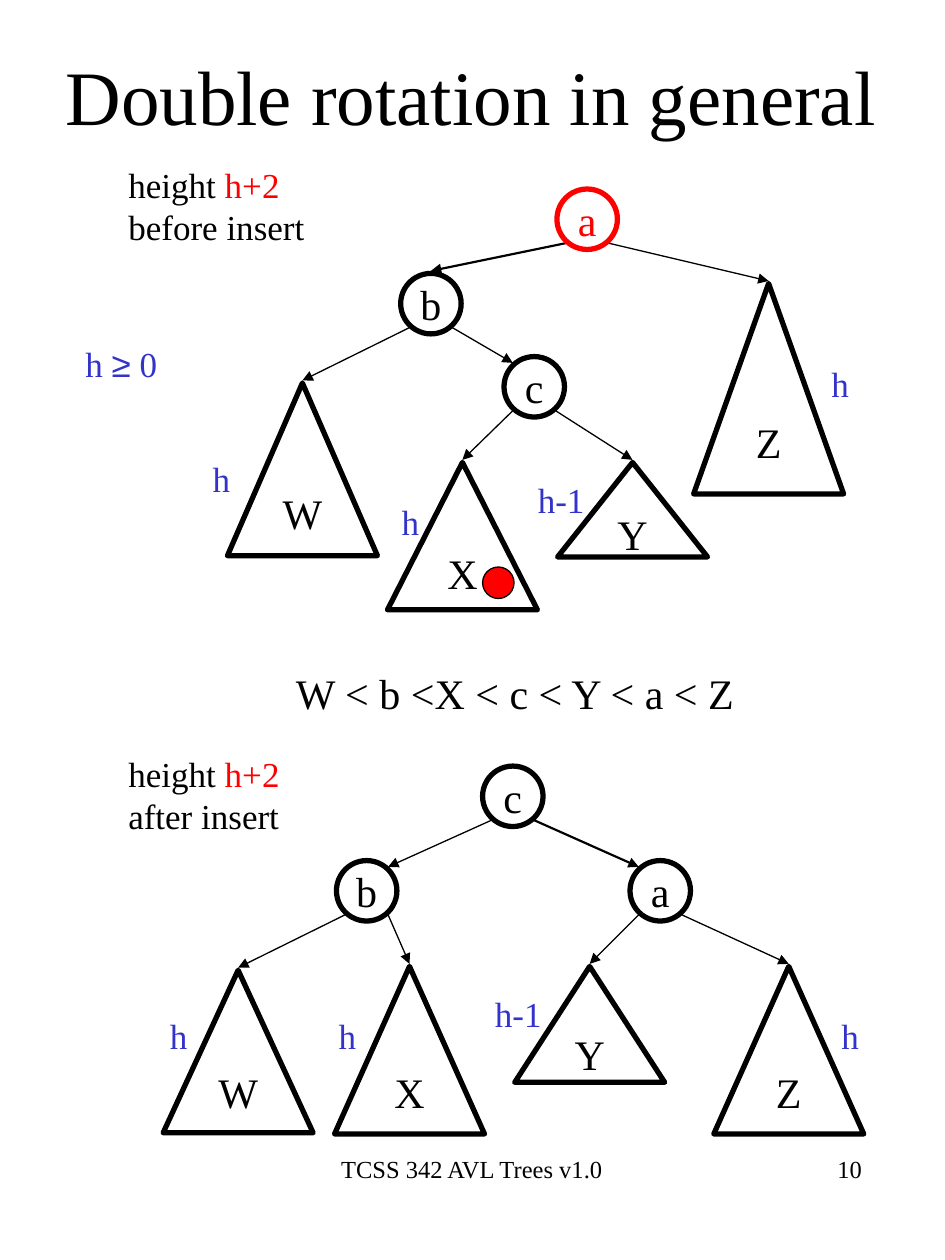
"""Build the slide on double rotation of AVL trees."""
from dataclasses import dataclass

from lxml import etree
from pptx import Presentation
from pptx.dml.color import RGBColor
from pptx.enum.shapes import MSO_CONNECTOR, MSO_SHAPE
from pptx.enum.text import MSO_ANCHOR, MSO_AUTO_SIZE, PP_ALIGN
from pptx.oxml.ns import qn
from pptx.util import Inches, Pt

OVAL, TRIANGLE = MSO_SHAPE.OVAL, MSO_SHAPE.ISOSCELES_TRIANGLE
STRAIGHT = MSO_CONNECTOR.STRAIGHT
LEFT, CENTER, RIGHT = PP_ALIGN.LEFT, PP_ALIGN.CENTER, PP_ALIGN.RIGHT
TOP, MIDDLE = MSO_ANCHOR.TOP, MSO_ANCHOR.MIDDLE
NO_FIT = MSO_AUTO_SIZE.NONE

COLORS = {"black": "000000", "red": "FF0000", "blue": "3333CC", "white": "FFFFFF"}
FONT = "Times New Roman"
CIRCLE, BASE = 0.48, 1.19
CORNER_X, CORNER_Y, GAP = 0.17, 0.19, 0.02


@dataclass
class Run:
    text: str
    color: str = "black"
    font: str = FONT


@dataclass
class Label:
    left: float
    top: float
    width: float
    height: float
    lines: list[list[Run]]
    size: int = 20
    align: PP_ALIGN = LEFT
    wrap: bool = True


@dataclass
class Node:
    name: str
    x: float
    top: float
    height: float = CIRCLE
    color: str = "black"
    fill: str = ""

    @property
    def is_circle(self) -> bool:
        return self.name.islower()


@dataclass
class Edge:
    parent: str
    child: str
    weight: float = 0.74
    to_top: bool = False


@dataclass
class Tree:
    nodes: list[Node]
    edges: list[Edge]


def rgb(color: str) -> RGBColor:
    return RGBColor.from_string(COLORS[color])


def write(tf, lines: list[list[Run]], size: int, align=LEFT, anchor=TOP, wrap=True) -> None:
    frame = {"word_wrap": wrap, "vertical_anchor": anchor, "auto_size": NO_FIT,
             "margin_left": Inches(0.1), "margin_right": Inches(0.1),
             "margin_top": Inches(0.05), "margin_bottom": Inches(0.05)}
    for key, value in frame.items():
        setattr(tf, key, value)
    for i, line in enumerate(lines):
        p = tf.add_paragraph() if i else tf.paragraphs[0]
        p.alignment = align
        for run in line:
            r = p.add_run()
            r.text = run.text
            for key, value in {"name": run.font, "size": Pt(size)}.items():
                setattr(r.font, key, value)
            r.font.color.rgb = rgb(run.color)


def add_outline(s, kind, left, top, width, height, line="black", weight=3.0, fill=""):
    sp = s.shapes.add_shape(kind, *map(Inches, (left, top, width, height)))
    sp.shadow.inherit = False
    if fill:
        sp.fill.solid()
        sp.fill.fore_color.rgb = rgb(fill)
    else:
        sp.fill.background()
    sp.line.color.rgb = rgb(line)
    sp.line.width = Pt(weight)
    return sp


def add_node(s, node: Node) -> None:
    kind, width = (OVAL, CIRCLE) if node.is_circle else (TRIANGLE, BASE)
    sp = add_outline(s, kind, node.x - width / 2, node.top, width, node.height,
                     node.color, fill=node.fill)
    write(sp.text_frame, [[Run(node.name, node.color)]], 24, CENTER, MIDDLE, False)


def add_edge(s, parent: Node, child: Node, edge: Edge) -> None:
    side = 1 if child.x > parent.x else -1
    x1 = parent.x + side * CORNER_X
    y1 = parent.top + CIRCLE / 2 + CORNER_Y
    x2, y2 = child.x, child.top - GAP
    if child.is_circle and not edge.to_top:
        x2, y2 = child.x - side * CORNER_X, child.top + CIRCLE / 2 - CORNER_Y
    line = s.shapes.add_connector(STRAIGHT, *map(Inches, (x1, y1, x2, y2)))
    line.line.color.rgb = rgb("black")
    line.line.width = Pt(edge.weight)
    etree.SubElement(line.line._get_or_add_ln(), qn("a:tailEnd"), type="triangle")
    etree.SubElement(line._element.spPr, qn("a:effectLst"))


def add_tree(s, tree: Tree) -> None:
    by_name = {node.name: node for node in tree.nodes}
    for edge in tree.edges:
        add_edge(s, by_name[edge.parent], by_name[edge.child], edge)
    for node in tree.nodes:
        add_node(s, node)


def add_label(s, label: Label) -> None:
    sp = s.shapes.add_textbox(*map(Inches, (label.left, label.top, label.width, label.height)))
    write(sp.text_frame, label.lines, label.size, label.align, wrap=label.wrap)


def height_mark(text: str, left: float, top: float) -> Label:
    width = 0.34 if text == "h" else 0.57
    return Label(left, top, width, 0.44, [[Run(text, "blue")]], wrap=False)


def tree_caption(top: float, moment: str) -> Label:
    lines = [[Run("height "), Run("h+2", "red")], [Run(f"{moment} insert")]]
    return Label(0.92, top, 1.67, 0.77, lines)


BEFORE = Tree(
    [Node("a", 4.66, 1.5, color="red"), Node("b", 3.42, 2.17), Node("c", 4.24, 2.83),
     Node("Z", 6.1, 2.25, 1.67), Node("W", 2.4, 3.04, 1.37),
     Node("X", 3.67, 3.67, 1.17, fill="white"), Node("Y", 5.02, 3.67, 0.75, fill="white")],
    [Edge("a", "b", 1.25, True), Edge("a", "Z"), Edge("b", "W"), Edge("b", "c"),
     Edge("c", "X"), Edge("c", "Y")])
AFTER = Tree(
    [Node("c", 4.07, 6.08), Node("b", 2.91, 6.83), Node("a", 5.24, 6.83),
     Node("W", 1.89, 7.7, 1.29), Node("X", 3.25, 7.67, 1.33, fill="white"),
     Node("Y", 4.68, 7.67, 0.92, fill="white"), Node("Z", 6.26, 7.67, 1.33)],
    [Edge("c", "b"), Edge("c", "a", 1.25), Edge("b", "W"), Edge("b", "X"),
     Edge("a", "Y"), Edge("a", "Z")])
HEIGHTS = [("h-1", 4.17, 3.75), ("h", 6.5, 2.83), ("h", 1.59, 3.58), ("h", 3.09, 3.92),
           ("h-1", 3.83, 7.83), ("h", 6.58, 8), ("h", 1.25, 8), ("h", 2.59, 8)]
LABELS = [
    *(height_mark(*mark) for mark in HEIGHTS),
    tree_caption(1.25, "before"),
    tree_caption(5.92, "after"),
    Label(0.58, 2.67, 0.83, 0.77,
          [[Run("h ", "blue"), Run("≥", "blue", "Arial"), Run(" 0", "blue")]]),
    Label(2.25, 5.25, 3.77, 0.5, [[Run("W < b <X < c < Y < a < Z")]], 24),
    Label(2.56, 9.11, 2.37, 0.67, [[Run("TCSS 342 AVL Trees v1.0")]], 14, CENTER),
    Label(5.38, 9.11, 1.56, 0.67, [[Run("10")]], 14, RIGHT),
]


def main() -> None:
    prs = Presentation()
    prs.slide_width, prs.slide_height = Inches(7.5), Inches(10)
    s = prs.slides.add_slide(prs.slide_layouts[5])
    title = s.shapes.title
    box = {"left": 0.42, "top": 0.25, "width": 6.75, "height": 1}
    for key, value in box.items():
        setattr(title, key, Inches(value))
    write(title.text_frame, [[Run("Double rotation in general")]], 44, anchor=MIDDLE)
    for tree in (BEFORE, AFTER):
        add_tree(s, tree)
    add_outline(s, OVAL, 3.83, 4.5, 0.25, 0.25, weight=0.74, fill="red")
    for label in LABELS:
        add_label(s, label)
    prs.save("out.pptx")


main()
